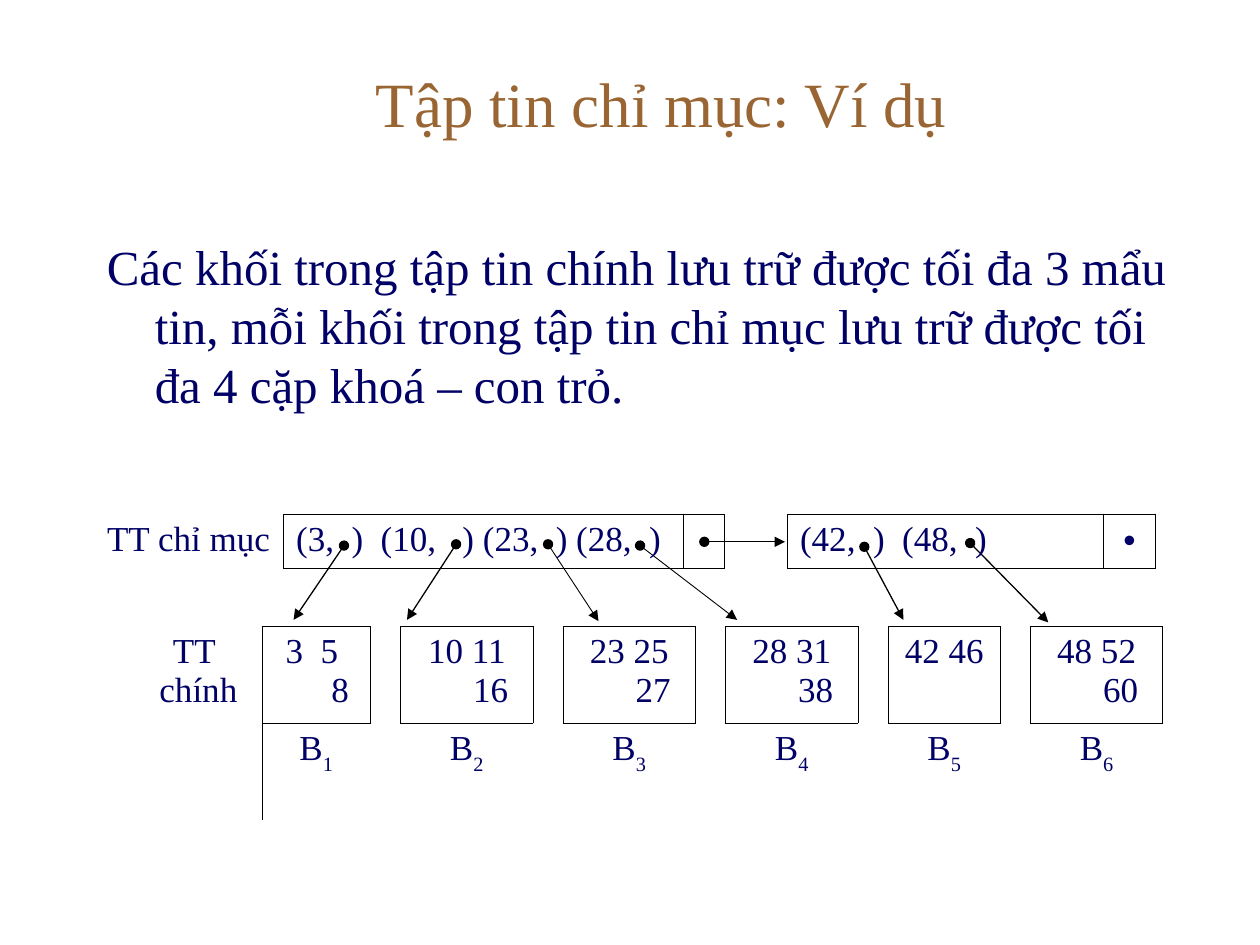
from dataclasses import dataclass

from lxml import etree
from pptx import Presentation
from pptx.dml.color import RGBColor
from pptx.enum.shapes import MSO_CONNECTOR
from pptx.enum.text import MSO_ANCHOR, PP_ALIGN
from pptx.oxml.ns import qn
from pptx.util import Inches, Pt

CENTER, JUSTIFY, LEFT = PP_ALIGN.CENTER, PP_ALIGN.JUSTIFY, PP_ALIGN.LEFT
MIDDLE = MSO_ANCHOR.MIDDLE
STRAIGHT = MSO_CONNECTOR.STRAIGHT
NO_STYLE = "{2D5ABB26-0587-4C30-8999-92F81FD0307C}"
HANGING = Inches(0.38)


@dataclass(frozen=True)
class Theme:
    title: RGBColor = RGBColor(0x99, 0x66, 0x33)
    text: RGBColor = RGBColor(0x00, 0x00, 0x66)
    line: RGBColor = RGBColor(0x00, 0x00, 0x00)
    font: str = "Times New Roman"
    bullet_font: str = "Arial"
    title_size: int = 36
    body_size: int = 28
    cell_size: int = 20
    border: float = 0.45


THEME = Theme()


def grid(n):
    """Length of n cells of the slide's 40 x 30 grid."""
    return Inches(n * 0.25)


def style_run(r, size, color=THEME.text, font=THEME.font):
    r.font.size = Pt(size)
    r.font.name = font
    r.font.color.rgb = color


def hang(p):
    pPr = p._p.get_or_add_pPr()
    pPr.set("marL", str(HANGING))
    pPr.set("indent", str(-HANGING))


def add_text(slide, box, text, size, color, align):
    s = slide.shapes.add_textbox(*map(grid, box))
    tf = s.text_frame
    tf.word_wrap = True
    tf.text = text
    p = tf.paragraphs[0]
    p.alignment = align
    style_run(p.runs[0], size, color)
    return tf


def add_title(slide, box):
    tf = add_text(slide, box, "Tập tin chỉ mục: Ví dụ",
                  THEME.title_size, THEME.title, CENTER)
    tf.vertical_anchor = MIDDLE
    tf.margin_right = Inches(0.35)


def add_body(slide, box):
    tf = add_text(slide, box,
                  "Các khối trong tập tin chính lưu trữ được tối đa 3 mẩu tin, "
                  "mỗi khối trong tập tin chỉ mục lưu trữ được tối đa 4 cặp "
                  "khoá – con trỏ.",
                  THEME.body_size, THEME.text, LEFT)
    hang(tf.paragraphs[0])


def add_plain_table(slide, left, top, widths, heights):
    """Table without a style, its columns and rows given in grid cells."""
    s = slide.shapes.add_table(len(heights), len(widths), grid(left), grid(top),
                               grid(sum(widths)), grid(sum(heights)))
    table = s.table
    table.first_row = table.horz_banding = False
    next(s._element.iter(qn("a:tableStyleId"))).text = NO_STYLE
    for column, width in zip(table.columns, widths):
        column.width = grid(width)
    for row, height in zip(table.rows, heights):
        row.height = grid(height)
    return table


def fill_cell(cell, text, borders, align=CENTER, font=THEME.font):
    """Set the text and draw the borders named by the letters L, R, T, B."""
    tcPr = cell._tc.get_or_add_tcPr()
    for side in borders:
        ln = etree.SubElement(tcPr, qn(f"a:ln{side}"), w=str(Pt(THEME.border)))
        fill = etree.SubElement(ln, qn("a:solidFill"))
        etree.SubElement(fill, qn("a:srgbClr"), val=str(THEME.line))
    cell.fill.background()
    cell.text_frame.text = text
    for p in cell.text_frame.paragraphs:
        p.alignment = align
        hang(p)
        for r in p.runs:
            style_run(r, THEME.cell_size, font=font)


def add_pointer(slide, start, end, width):
    c = slide.shapes.add_connector(STRAIGHT, *map(grid, start + end))
    c.line.color.rgb = THEME.line
    c.line.width = Pt(width)
    ln = c.line._get_or_add_ln()
    etree.SubElement(ln, qn("a:headEnd"), type="oval")
    etree.SubElement(ln, qn("a:tailEnd"), type="triangle")
    etree.SubElement(c._element.spPr, qn("a:effectLst"))


def add_pointers(slide, left, top):
    """Arrows from the index entries, measured from the index row's corner."""
    for x1, y1, x2, y2, width in [
        (7.92, 1, 6.32, 3.36, 0.75),
        (11.48, 0.96, 9.92, 3.36, 0.75),
        (14.4, 0.96, 16, 3.4, 0.5),
        (24.44, 1.04, 25.68, 3.36, 0.75),
        (27.8, 0.92, 30.28, 3.44, 0.75),
        (17.32, 1, 20.4, 3.36, 0.5),
        (19.36, 0.88, 21.92, 0.88, 0.5),
    ]:
        add_pointer(slide, (left + x1, top + y1), (left + x2, top + y2), width)


def add_index_file(slide, left, top):
    table = add_plain_table(slide, left, top,
                            [6, 12.68, 1.32, 2, 10.04, 1.64], [1.72])
    cells = [
        ("TT chỉ mục", "R", JUSTIFY, THEME.font),
        ("(3,  )  (10,   ) (23,  ) (28,  )", "LRTB", JUSTIFY, THEME.font),
        ("", "LRTB", JUSTIFY, THEME.font),
        ("", "LR", JUSTIFY, THEME.font),
        ("(42,  )  (48,  )", "LRTB", JUSTIFY, THEME.font),
        ("•", "LRTB", CENTER, THEME.bullet_font),
    ]
    for col, content in enumerate(cells):
        fill_cell(table.cell(0, col), *content)


def add_main_file(slide, left, top):
    blocks = [("3  5  8", 3.44), ("10 11 16", 4.2), ("23 25 27", 4.2),
              ("28 31 38", 4.2), ("42 46 ", 3.56), ("48 52 60", 4.2)]
    widths = [4.04]
    for _, width in blocks:
        widths += [width, 0.96]
    table = add_plain_table(slide, left, top, widths[:-1], [1.32, 2.68])

    label = table.cell(0, 0)
    label.merge(table.cell(1, 0))
    fill_cell(label, "TT \nchính", "R")
    for i, (keys, _) in enumerate(blocks):
        col = 2 * i + 1
        fill_cell(table.cell(0, col), keys, "LRTB")
        if i:
            fill_cell(table.cell(0, col - 1), "", "LR")
        name = table.cell(1, col)
        fill_cell(name, "B", "T")
        r = name.text_frame.paragraphs[0].add_run()
        r.text = str(i + 1)
        style_run(r, THEME.cell_size)
        r._r.get_or_add_rPr().set("baseline", "-30000")


def main():
    prs = Presentation()
    prs.slide_width, prs.slide_height = grid(40), grid(30)
    slide = prs.slides.add_slide(prs.slide_layouts[6])
    add_title(slide, (5, 1.2, 33, 4.12))
    add_body(slide, (3, 7.32, 35, 6.88))
    add_pointers(slide, 3, 16.32)
    add_index_file(slide, 3, 16.32)
    add_main_file(slide, 4.28, 19.88)
    prs.save("out.pptx")


if __name__ == "__main__":
    main()
